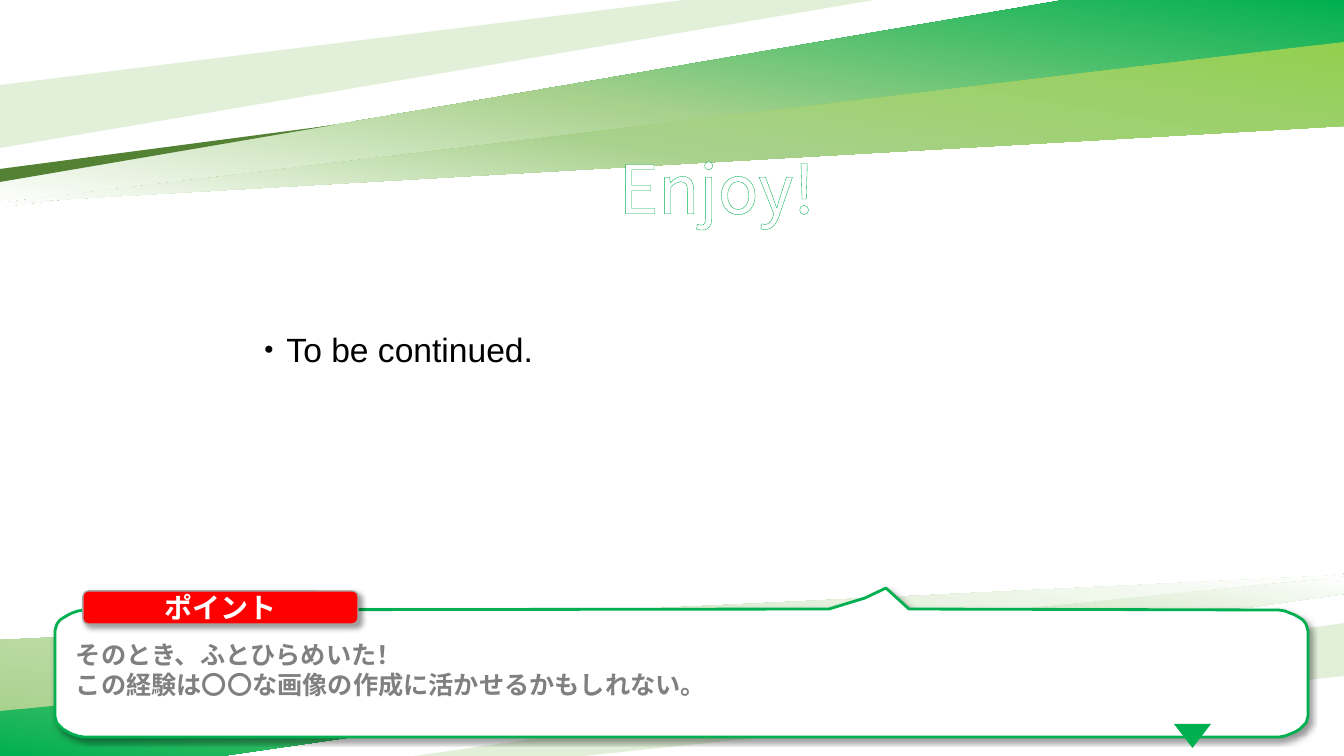
import math

from lxml import etree
from pptx import Presentation
from pptx.dml.color import RGBColor
from pptx.enum.shapes import MSO_SHAPE
from pptx.enum.text import MSO_ANCHOR, PP_ALIGN
from pptx.oxml import parse_xml
from pptx.util import Pt

PX = 914400 / 100.8
ROUNDED, TRIANGLE = MSO_SHAPE.ROUNDED_RECTANGLE, MSO_SHAPE.ISOSCELES_TRIANGLE
TOP, MIDDLE = MSO_ANCHOR.TOP, MSO_ANCHOR.MIDDLE
LEFT, CENTER = PP_ALIGN.LEFT, PP_ALIGN.CENTER
A = "http://schemas.openxmlformats.org/drawingml/2006/main"
GREEN, PALE, MID, WHITE = "00B050", "E2F0D9", "A9D18E", "FFFFFF"
JP = "Noto Sans CJK JP"
SHADOW = (
    f'<a:outerShdw xmlns:a="{A}" blurRad="50800" dist="38100" dir="2700000" '
    'algn="tl" rotWithShape="0"><a:srgbClr val="000000"><a:alpha val="40000"/>'
    "</a:srgbClr></a:outerShdw>"
)


def paint(shape, fill, line=None, width=1, shadow=False):
    """Give a shape its solid fill, its outline and, if wanted, a drop shadow."""
    shape.fill.solid()
    shape.fill.fore_color.rgb = RGBColor.from_string(fill)
    if line:
        shape.line.color.rgb = RGBColor.from_string(line)
        shape.line.width = Pt(width)
    else:
        shape.line.fill.background()
    shape.shadow.inherit = False
    if shadow:
        shape._element.spPr.find(f"{{{A}}}effectLst").append(parse_xml(SHADOW))


def write(shape, lines, size, font, color, bold=False, align=LEFT, anchor=TOP, spacing=1):
    """Fill a shape's text frame with one paragraph a line."""
    frame = shape.text_frame
    frame.word_wrap = True
    frame.vertical_anchor = anchor
    for index, line in enumerate(lines):
        paragraph = frame.add_paragraph() if index else frame.paragraphs[0]
        paragraph.alignment = align
        paragraph.line_spacing = spacing
        run = paragraph.add_run()
        run.text = line
        run.font.size = Pt(size)
        run.font.bold = bold
        run.font.name = font
        run.font.color.rgb = RGBColor.from_string(color)
        east_asian = etree.SubElement(run._r.get_or_add_rPr(), f"{{{A}}}ea")
        east_asian.set("typeface", font)


prs = Presentation()
prs.slide_width, prs.slide_height = round(1344 * PX), round(756 * PX)
slide = prs.slides.add_slide(prs.slide_layouts[6])
shapes = slide.shapes

# Background bands: outline, gradient stops (percent, colour), clockwise angle
DOWN_LEFT, UP_RIGHT = 100, 280
bands = [
    ([(1064, 0), (1344, 0), (1344, 46), (0, 207), (0, 182), (334, 125)],
     [(0, GREEN), (53, MID), (100, WHITE)], DOWN_LEFT),
    ([(684, 0), (874, 0), (0, 148), (0, 85)], [(0, PALE)], None),
    ([(1344, 42), (1344, 126), (0, 203)],
     [(0, "92D050"), (58, MID), (100, WHITE)], DOWN_LEFT),
    ([(334, 125), (0, 182), (0, 169)], [(0, "548235")], None),
    ([(1344, 574), (1344, 594), (1008, 642), (222, 756), (0, 756), (0, 709)],
     [(0, GREEN), (53, MID), (100, WHITE)], UP_RIGHT),
    ([(1344, 575), (1344, 576), (0, 711), (0, 640)],
     [(0, MID), (100, WHITE)], UP_RIGHT),
    ([(1344, 623), (1344, 676), (584, 756), (414, 756)], [(0, PALE)], None),
]
for outline, stops, angle in bands:
    builder = shapes.build_freeform(*outline[0], scale=PX)
    builder.add_line_segments(outline[1:])
    band = builder.convert_to_shape()
    paint(band, stops[0][1])
    if angle:
        stop_xml = "".join(
            f'<a:gs pos="{percent * 1000}"><a:srgbClr val="{color}"/></a:gs>'
            for percent, color in stops)
        solid = band._element.spPr.find(f"{{{A}}}solidFill")
        solid.getparent().replace(solid, parse_xml(
            f'<a:gradFill xmlns:a="{A}" rotWithShape="1"><a:gsLst>{stop_xml}</a:gsLst>'
            f'<a:lin ang="{angle * 60000}" scaled="0"/></a:gradFill>'))

# Title in outlined letters
title = shapes.add_textbox(*(round(v * PX) for v in (243, 119, 948, 146)))
write(title, ["Enjoy!"], 48, JP, WHITE, align=CENTER, anchor=MIDDLE, spacing=0.9)
letters = title.text_frame.paragraphs[0].runs[0]
letters._r.get_or_add_rPr().insert(0, parse_xml(
    f'<a:ln xmlns:a="{A}" w="25400"><a:solidFill><a:srgbClr val="{GREEN}"/>'
    "</a:solidFill></a:ln>"))

body = shapes.add_textbox(*(round(v * PX) for v in (243, 329, 853, 262)))
write(body, ["・To be continued."], 24, "Arial", "000000", spacing=0.9)
body.text_frame.paragraphs[0].space_before = Pt(10)

# Speech panel: a peak on the top edge, then four elliptical corners clockwise
RADIUS_X, RADIUS_Y, STEP = 35, 21, 10
corners = [(1273, 631, -90), (1273, 716, 0), (90, 716, 90), (90, 631, 180)]
panel_outline = [(886, 588), (909, 609)]
for center_x, center_y, start in corners:
    for degrees in range(start, start + 91, STEP):
        turn = math.radians(degrees)
        panel_outline.append((center_x + RADIUS_X * math.cos(turn),
                              center_y + RADIUS_Y * math.sin(turn)))
panel_outline += [(829, 609), (865, 598)]
builder = shapes.build_freeform(*panel_outline[0], scale=PX)
builder.add_line_segments(panel_outline[1:])
paint(builder.convert_to_shape(), WHITE, GREEN, 2, shadow=True)

label = shapes.add_shape(ROUNDED, *(round(v * PX) for v in (83, 591, 275, 33)))
paint(label, "FF0000", "A6A6A6", shadow=True)
write(label, ["ポイント"], 20, JP, WHITE, bold=True, align=CENTER, anchor=MIDDLE)

message = shapes.add_textbox(*(round(v * PX) for v in (66, 634, 1207, 72)))
write(message, ["そのとき、ふとひらめいた！", "この経験は〇〇な画像の作成に活かせるかもしれない。"],
      18, JP, "808080", bold=True)

marker = shapes.add_shape(TRIANGLE, *(round(v * PX) for v in (1174, 724, 37, 24)))
marker.rotation = 180
paint(marker, GREEN)

prs.save("out.pptx")
